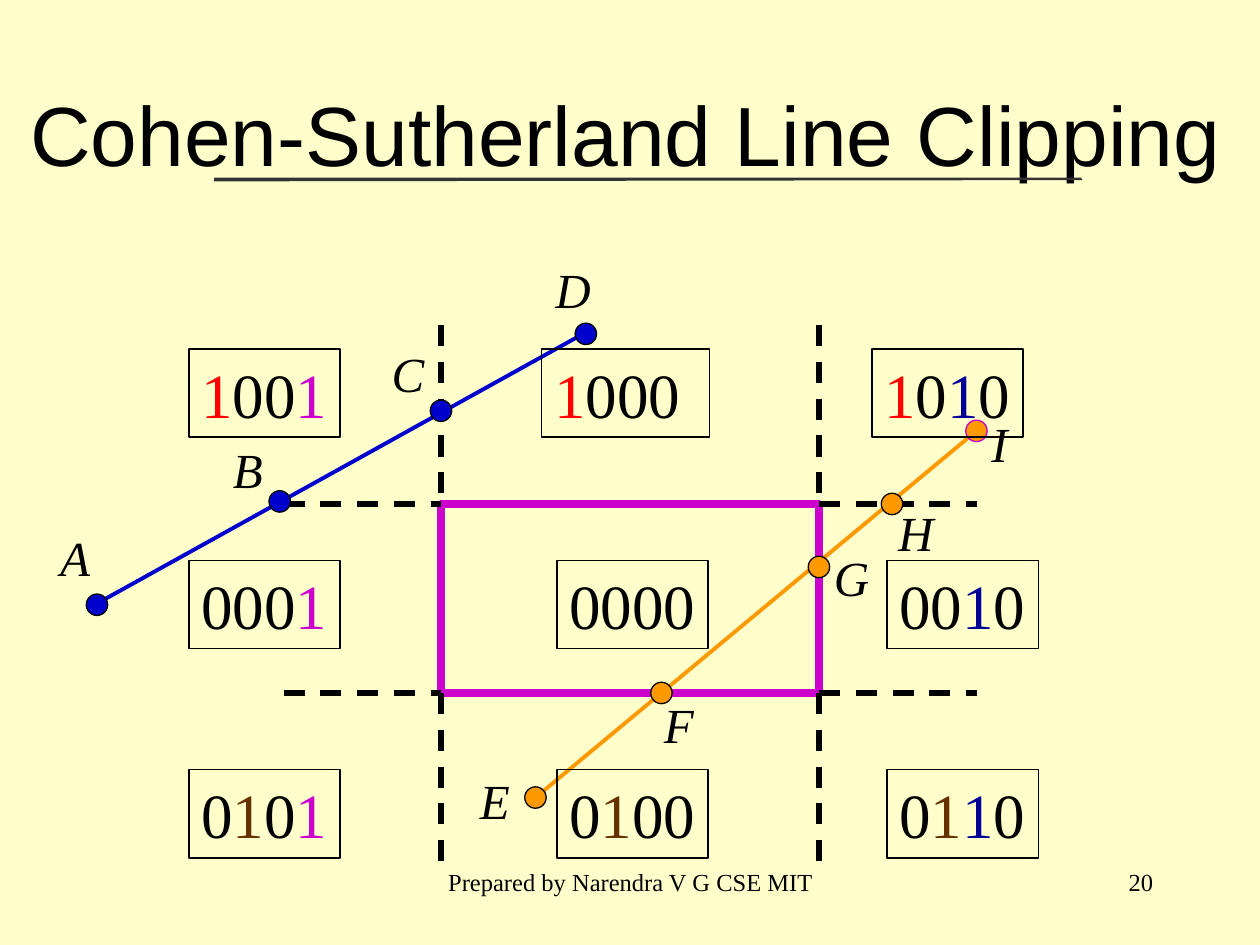
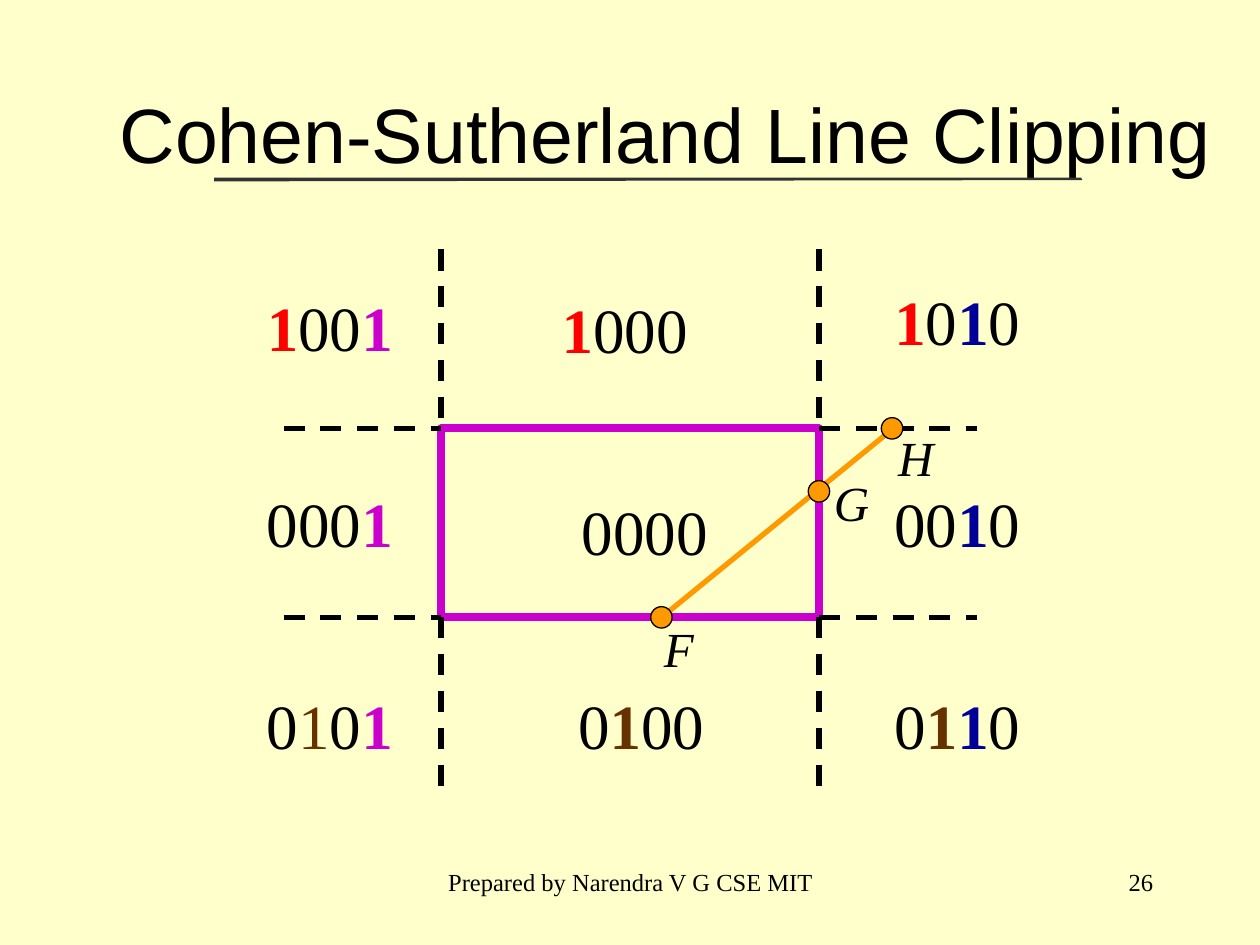
import dataclasses
import itertools

import lxml.etree
import pptx
import pptx.dml.color
import pptx.enum.dml
import pptx.enum.shapes
import pptx.enum.text
import pptx.oxml.ns
import pptx.util

Inches = pptx.util.Inches
Align = pptx.enum.text.PP_ALIGN
Shape = pptx.enum.shapes.MSO_SHAPE


@dataclasses.dataclass(frozen=True)
class Theme:
    paper: str = "FFFFCC"
    ink: str = "000000"
    rule: str = "333333"
    frame: str = "CC00CC"
    blue: str = "0000CC"
    orange: str = "FF9900"
    bits: tuple = ("FF0000", "663300", "000099", "CC00CC")
    head: str = "Arial"
    body: str = "Times New Roman"
    code: int = 36
    label: int = 28
    foot: int = 14


THEME = Theme()
LEFT, RIGHT = 3.5, 6.5
HEIGHT = 1.5
DOT = 0.17
WIDTHS = {"I": 0.33, "A": 0.44, "B": 0.44, "C": 0.46, "E": 0.44, "F": 0.44}

BLUE_MARKS = [
    ("A", 0.77, 4.8, -0.39, -0.66),
    ("B", 2.22, 3.98, -0.47, -0.54),
    ("C", 3.5, 3.26, -0.49, -0.58),
    ("D", 4.65, 2.65, -0.34, -0.64),
]
END_MARKS = [
    ("E", 4.25, 6.33, -0.54, -0.26),
    ("I", 7.75, 3.42, 0.02, -0.19),
]
CUT_MARKS = [
    ("F", 5.25, 1.5, -0.08, -0.04),
    ("G", 6.5, 0.5, 0.02, -0.2),
    ("H", 7.08, 0, -0.05, -0.06),
]
BOXED_CODES = [
    ("1001", 1.5, 2.77, 1.2),
    ("1000", 4.3, 2.77, 1.33),
    ("1010", 6.92, 2.77, 1.2),
    ("0001", 1.5, 4.45, 1.2),
    ("0000", 4.42, 4.45, 1.2),
    ("0010", 7.04, 4.45, 1.2),
    ("0101", 1.5, 6.11, 1.2),
    ("0100", 4.42, 6.11, 1.2),
    ("0110", 7.04, 6.11, 1.2),
]
PLAIN_CODES = [
    ("1001", 2.02, 2.24, 1.2),
    ("1000", 4.36, 2.26, 1.91),
    ("1010", 7, 2.19, 1.2),
    ("0001", 2.02, 3.8, 1.2),
    ("0000", 4.52, 3.86, 1.2),
    ("0010", 7, 3.8, 1.2),
    ("0101", 2.02, 5.4, 1.2),
    ("0100", 4.49, 5.4, 1.2),
    ("0110", 7, 5.4, 1.2),
]


def shade(tint):
    return pptx.dml.color.RGBColor.from_string(tint)


def write(frame, text, size, face=THEME.body, tint=THEME.ink, bold=False,
          slant=False, align=Align.LEFT):
    para = frame.paragraphs[0]
    para.alignment = align
    run = para.add_run()
    run.text = text
    font = run.font
    font.size, font.name = pptx.util.Pt(size), face
    font.bold, font.italic = bold, slant
    font.color.rgb = shade(tint)


def add_text(slide, box, wrap=True):
    frame = slide.shapes.add_textbox(*map(Inches, box)).text_frame
    frame.word_wrap = wrap
    return frame


def add_shape(slide, kind, box, fill=None, line=THEME.ink, weight=0.75):
    shape = slide.shapes.add_shape(kind, *map(Inches, box))
    shape.shadow.inherit = False
    if fill:
        shape.fill.solid()
        shape.fill.fore_color.rgb = shade(fill)
    else:
        shape.fill.background()
    shape.line.color.rgb = shade(line)
    shape.line.width = pptx.util.Pt(weight)
    return shape


def add_line(slide, start, end, tint=THEME.ink, weight=3, dash=False):
    link = slide.shapes.add_connector(
        pptx.enum.shapes.MSO_CONNECTOR.STRAIGHT, *map(Inches, start + end))
    link.line.color.rgb = shade(tint)
    link.line.width = pptx.util.Pt(weight)
    if dash:
        link.line.dash_style = pptx.enum.dml.MSO_LINE.DASH
    props = link.element.find(pptx.oxml.ns.qn("p:spPr"))
    lxml.etree.SubElement(props, pptx.oxml.ns.qn("a:effectLst"))


def add_rule(slide):
    spots = [(1.7, 1.41), (8.58, 1.41), (8.59, 1.43), (1.7, 1.44)]
    first, *rest = [(Inches(x), Inches(y)) for x, y in spots]
    pen = slide.shapes.build_freeform(*first)
    pen.add_line_segments(rest, close=True)
    rule = pen.convert_to_shape()
    rule.shadow.inherit = False
    rule.fill.solid()
    rule.fill.fore_color.rgb = shade(THEME.rule)
    rule.line.fill.background()


def add_slide(deck, box, size, number):
    slide = deck.slides.add_slide(deck.slide_layouts[5])
    add_rule(slide)
    title = slide.shapes.title
    title.left, title.top, title.width, title.height = map(Inches, box)
    frame = title.text_frame
    frame.word_wrap = True
    frame.auto_size = pptx.enum.text.MSO_AUTO_SIZE.NONE
    frame.vertical_anchor = pptx.enum.text.MSO_ANCHOR.MIDDLE
    write(frame, "Cohen-Sutherland Line Clipping", size, face=THEME.head,
          align=Align.RIGHT)
    write(add_text(slide, (7.17, 6.83, 2.08, 0.5)), number, THEME.foot,
          align=Align.RIGHT)
    write(add_text(slide, (3.42, 6.83, 3.17, 0.5)),
          "Prepared by Narendra V G CSE MIT", THEME.foot, align=Align.CENTER)
    return slide


def add_grid(slide, top):
    base = top + HEIGHT
    add_shape(slide, Shape.RECTANGLE, (LEFT, top, RIGHT - LEFT, HEIGHT),
              line=THEME.frame, weight=4.5)
    for x in (LEFT, RIGHT):
        add_line(slide, (x, top - 1.42), (x, top), dash=True)
        add_line(slide, (x, base), (x, base + 1.42), dash=True)
    for y in (top, base):
        add_line(slide, (LEFT - 1.25, y), (LEFT, y), dash=True)
        add_line(slide, (RIGHT, y), (RIGHT + 1.25, y), dash=True)


def add_marks(slide, marks, tint, top=0):
    for name, x, y, right, down in marks:
        y += top
        edge = THEME.frame if name == "I" else THEME.ink
        add_shape(slide, Shape.OVAL, (x - DOT / 2, y - DOT / 2, DOT, DOT),
                  fill=tint, line=edge)
        box = (x + right, y + down, WIDTHS.get(name, 0.48), 0.57)
        write(add_text(slide, box, wrap=False), name, THEME.label, slant=True)


def add_code(slide, code, box, framed, strong):
    wrap = box[2] > 1.2
    if framed:
        frame = add_shape(slide, Shape.RECTANGLE, box).text_frame
        frame.word_wrap = wrap
        frame.vertical_anchor = pptx.enum.text.MSO_ANCHOR.TOP
    else:
        frame = add_text(slide, box, wrap)
    looks = [(tint, heavy == "1") if bit == "1" else (THEME.ink, False)
             for bit, tint, heavy in zip(code, THEME.bits, strong)]
    pairs = zip(code, looks)
    for (tint, bold), group in itertools.groupby(pairs, lambda pair: pair[1]):
        text = "".join(bit for bit, look in group)
        write(frame, text, THEME.code, tint=tint, bold=bold)


def draw_full(deck):
    top = 4
    slide = add_slide(deck, (0.07, 0.43, 9.72, 1.25), 48, "20")
    add_grid(slide, top)
    add_line(slide, (4.7, 2.61), (0.77, 4.79), THEME.blue, 2.25)
    add_line(slide, (7.75, 3.42), (4.25, 6.33), THEME.orange, 2.25)
    add_marks(slide, CUT_MARKS, THEME.orange, top)
    add_marks(slide, END_MARKS, THEME.orange)
    add_marks(slide, BLUE_MARKS, THEME.blue)
    for code, x, y, width in BOXED_CODES:
        add_code(slide, code, (x, y, width, 0.7), True, "0000")


def draw_cut(deck):
    top = 3.4
    slide = add_slide(deck, (0.14, 0.43, 9.58, 1.25), 44, "26")
    add_grid(slide, top)
    add_line(slide, (7.09, top), (5.25, top + HEIGHT), THEME.orange)
    add_marks(slide, CUT_MARKS, THEME.orange, top)
    for code, x, y, width in PLAIN_CODES:
        strong = "0001" if code == "0101" else code
        add_code(slide, code, (x, y, width, 0.7), False, strong)


def main():
    deck = pptx.Presentation()
    deck.slide_width, deck.slide_height = Inches(10), Inches(7.5)
    fill = deck.slide_master.background.fill
    fill.solid()
    fill.fore_color.rgb = shade(THEME.paper)
    draw_full(deck)
    draw_cut(deck)
    deck.save("out.pptx")


if __name__ == "__main__":
    main()
